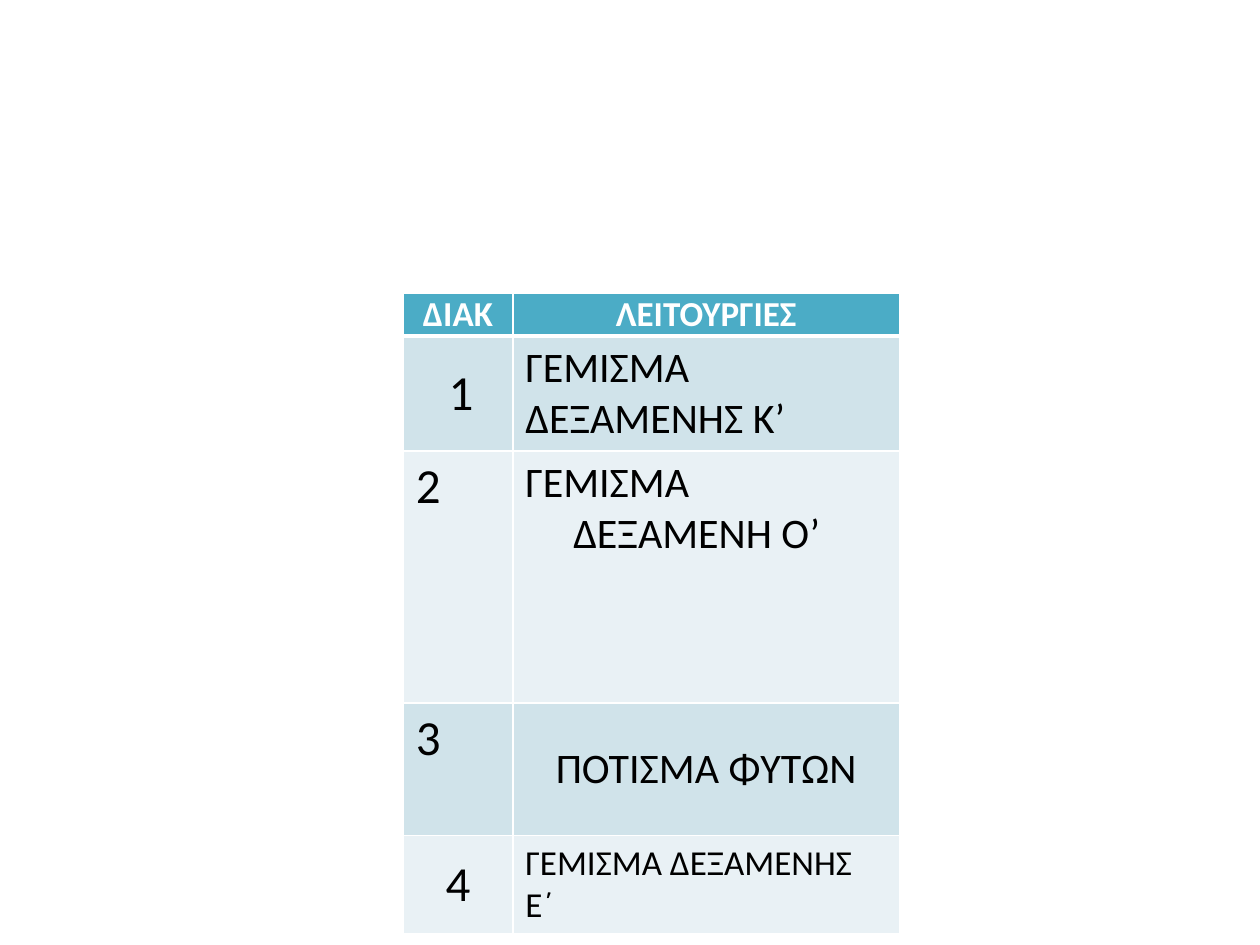
from lxml import etree
from pptx import Presentation
from pptx import util as u
from pptx.dml.color import RGBColor
from pptx.enum import text
from pptx.oxml.ns import qn

COLORS = {"header": "4BACC6", "odd": "D0E3EA", "even": "E9F1F5",
          "white": "FFFFFF", "black": "000000"}
MID, TOP = text.MSO_ANCHOR.MIDDLE, text.MSO_ANCHOR.TOP
LEFT, CENTER = text.PP_ALIGN.LEFT, text.PP_ALIGN.CENTER

HEADINGS = ("ΔΙΑΚ", "ΛΕΙΤΟΥΡΓΙΕΣ")
# Each cell: text, size, alignment, anchor, left margin, first-line indent (inches)
OPERATIONS = [
    (("1", 28, LEFT, MID, 0.26, 0),
     ("ΓΕΜΙΣΜΑ ΔΕΞΑΜΕΝΗΣ Κ’", 24, LEFT, TOP, 0, 0)),
    (("2", 28, LEFT, TOP, 0, 0),
     ("ΓΕΜΙΣΜΑ ΔΕΞΑΜΕΝΗ Ο’", 24, LEFT, TOP, 0.38, -0.38)),
    (("3", 28, LEFT, TOP, 0, 0),
     ("ΠΟΤΙΣΜΑ ΦΥΤΩΝ", 24, CENTER, MID, 0.38, -0.38)),
    (("4", 28, CENTER, MID, 0, 0),
     ("ΓΕΜΙΣΜΑ ΔΕΞΑΜΕΝΗΣ Ε΄", 20, LEFT, TOP, 0, 0)),
]
COLUMN_WIDTHS = (0.87, 3.07)
ROW_HEIGHTS = (0.33, 0.91, 2.0, 1.05, 0.78)


class Deck:
    font = "Calibri"

    def __init__(self, width, height):
        self.prs = Presentation()
        self.prs.slide_width, self.prs.slide_height = u.Inches(width), u.Inches(height)
        self.s = self.prs.slides.add_slide(self.prs.slide_layouts[6])

    def table(self, x, y, widths, heights):
        """Add a table at shares x, y of the slide's size."""
        frame = self.s.shapes.add_table(
            len(heights), len(widths),
            int(x * self.prs.slide_width), int(y * self.prs.slide_height),
            u.Inches(sum(widths)), u.Inches(sum(heights)))
        for column, width in zip(frame.table.columns, widths):
            column.width = u.Inches(width)
        for row, height in zip(frame.table.rows, heights):
            row.height = u.Inches(height)
        return frame.table

    def cell(self, cell, label, size, align, anchor, margin=0, indent=0,
             fill="header", color="black", bold=False):
        cell.fill.solid()
        cell.fill.fore_color.rgb = RGBColor.from_string(COLORS[fill])
        cell.vertical_anchor = anchor
        p = cell.text_frame.paragraphs[0]
        p.text, p.alignment = label, align
        pPr = p._p.get_or_add_pPr()
        pPr.set("marL", str(u.Inches(margin)))
        pPr.set("indent", str(u.Inches(indent)))
        font = p.runs[0].font
        font.name, font.size, font.bold = self.font, u.Pt(size), bold
        font.color.rgb = RGBColor.from_string(COLORS[color])

    def borders(self, cell, top=1, bottom=1):
        tcPr = cell._tc.get_or_add_tcPr()
        for i, (side, width) in enumerate(zip("LRTB", (1, 1, top, bottom))):
            ln = etree.Element(qn(f"a:ln{side}"), w=str(u.Pt(width)))
            fill = etree.SubElement(ln, qn("a:solidFill"))
            etree.SubElement(fill, qn("a:srgbClr"), val=COLORS["white"])
            tcPr.insert(i, ln)


def main():
    deck = Deck(10, 7.5)
    table = deck.table(0.32, 0.31, COLUMN_WIDTHS, ROW_HEIGHTS)
    for c, heading in enumerate(HEADINGS):
        cell = table.cell(0, c)
        deck.cell(cell, heading, 20, CENTER, MID, color="white", bold=True)
        cell.margin_top = cell.margin_bottom = 0
        deck.borders(cell, bottom=3)
    for r, row in enumerate(OPERATIONS, 1):
        for c, content in enumerate(row):
            cell = table.cell(r, c)
            deck.cell(cell, *content, fill="odd" if r % 2 else "even")
            deck.borders(cell, top=3 if r == 1 else 1)
    deck.prs.save("out.pptx")


if __name__ == "__main__":
    main()
